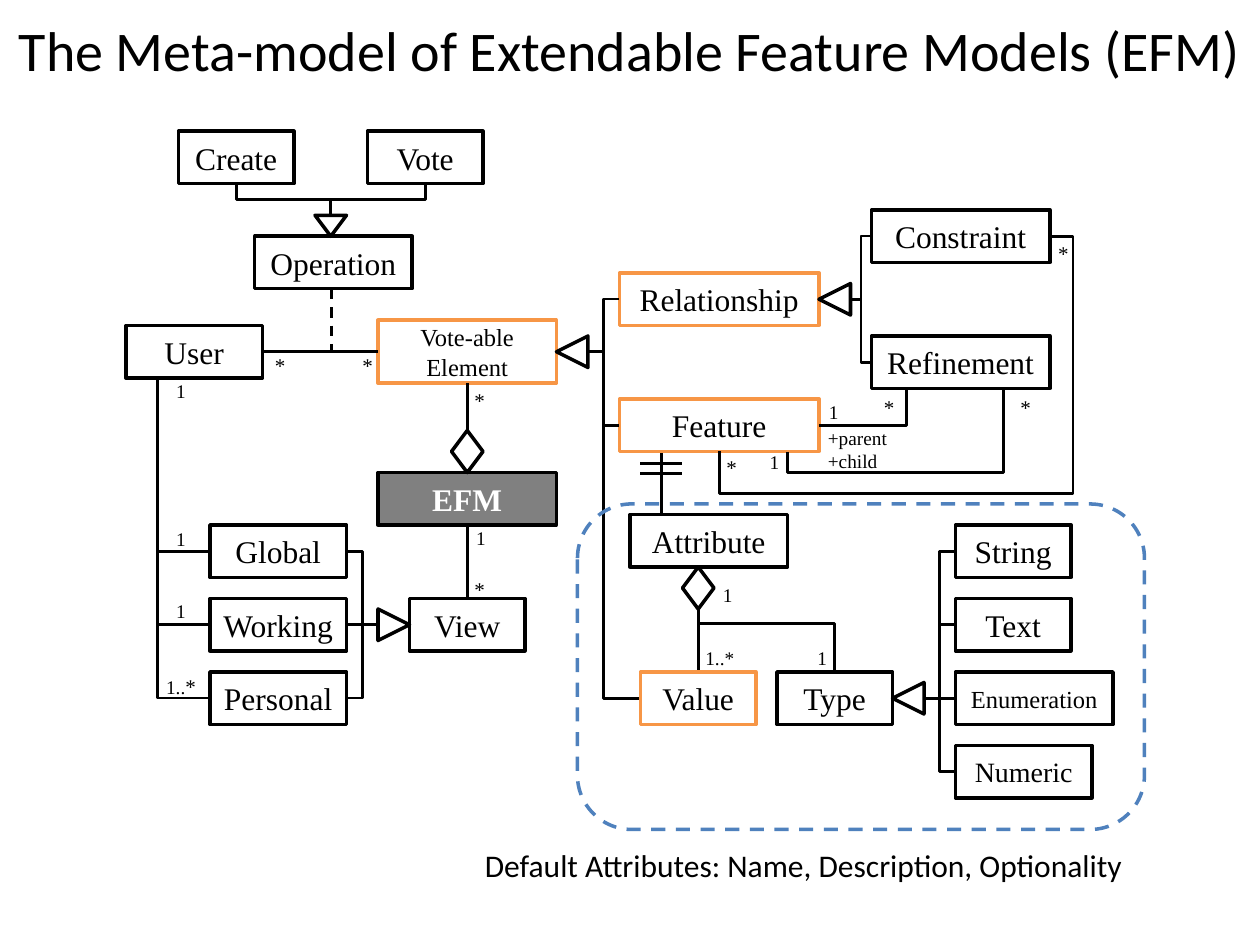
from dataclasses import dataclass
from lxml.etree import SubElement
from pptx import Presentation
from pptx.dml.color import RGBColor
from pptx.enum.dml import MSO_LINE_DASH_STYLE as DASH
from pptx.enum.shapes import MSO_CONNECTOR as CONN, MSO_SHAPE as SHAPE
from pptx.enum.text import MSO_ANCHOR as ANCHOR, MSO_AUTO_SIZE as FIT, PP_ALIGN as ALIGN
from pptx.oxml.ns import qn
from pptx.util import Pt


@dataclass(frozen=True)
class Theme:
    """Colours, fonts and sizes of the diagram."""
    ink: str = "000000"
    paper: str = "FFFFFF"
    accent: str = "F79646"
    dark: str = "808080"
    frame: str = "4F81BD"
    sans: str = "Calibri"
    serif: str = "Times New Roman"
    title: int = 32
    body: int = 18
    medium: int = 16
    small: int = 14
    star: int = 12
    mark: int = 11
    border: float = 2
    link: float = 1.5


T = Theme()


def add_text(p, text, size=T.body, font=T.serif, color=T.ink, bold=False):
    """Append a formatted run to a paragraph."""
    r = p.add_run()
    r.text = text
    r.font.size, r.font.name, r.font.bold = Pt(size), font, bold
    r.font.color.rgb = RGBColor.from_string(color)


@dataclass
class Region:
    """Drawing helpers measured in points from the region's corner."""
    shapes: object
    x: float
    y: float

    def shape(self, kind, x, y, w, h, line=T.ink, fill=T.paper, rot=0):
        """Add an outlined preset shape."""
        sp = self.shapes.add_shape(kind, Pt(self.x + x), Pt(self.y + y), Pt(w), Pt(h))
        sp.shadow.inherit = False
        sp.rotation = rot
        if fill:
            sp.fill.solid()
            sp.fill.fore_color.rgb = RGBColor.from_string(fill)
        else:
            sp.fill.background()
        sp.line.color.rgb = RGBColor.from_string(line)
        sp.line.width = Pt(T.border)
        return sp

    def node(self, text, x, y, w, h=30, line=T.ink, fill=T.paper, **fmt):
        """Add a labelled class box."""
        tf = self.shape(SHAPE.RECTANGLE, x, y, w, h, line, fill).text_frame
        tf.word_wrap, tf.vertical_anchor = True, ANCHOR.MIDDLE
        p = tf.paragraphs[0]
        p.alignment = ALIGN.CENTER
        add_text(p, text, **fmt)

    def triangle(self, x, y, rot, h=18):
        """Add a generalisation head."""
        self.shape(SHAPE.ISOSCELES_TRIANGLE, x, y, 18, h, rot=rot)

    def diamond(self, x, y):
        """Add an aggregation head."""
        self.shape(SHAPE.DIAMOND, x, y, 18, 24)

    def label(self, x, y, w, h, *parts):
        """Add an unwrapped text box from (text, format) pairs."""
        sp = self.shapes.add_textbox(Pt(self.x + x), Pt(self.y + y), Pt(w), Pt(h))
        tf = sp.text_frame
        tf.word_wrap, tf.auto_size = False, FIT.SHAPE_TO_FIT_TEXT
        for text, fmt in parts:
            add_text(tf.paragraphs[0], text, **fmt)

    def mark(self, text, x, y, w=20.5, star=""):
        """Add a multiplicity or role name."""
        size = T.star if text == "*" else T.mark
        parts = [(text, {"size": size})]
        if star:
            parts.append((star, {"size": T.star}))
        self.label(x, y, w, 21, *parts)

    def link(self, x1, y1, x2, y2, kind=CONN.STRAIGHT, dash=None):
        """Add a connector."""
        c = self.shapes.add_connector(
            kind, Pt(self.x + x1), Pt(self.y + y1), Pt(self.x + x2), Pt(self.y + y2))
        c.line.color.rgb = RGBColor.from_string(T.ink)
        c.line.width = Pt(T.link)
        if dash:
            c.line.dash_style = dash
        SubElement(c.element.spPr, qn("a:effectLst"))
        return c

    def elbow(self, x1, y1, x2, y2, bend=0.5):
        """Run across, along and across, turning at the bend share."""
        c = self.link(x1, y1, x2, y2, CONN.ELBOW)
        geom = c.element.spPr.find(qn("a:prstGeom"))
        guides = geom.find(qn("a:avLst"))
        if guides is None:
            guides = SubElement(geom, qn("a:avLst"))
        SubElement(guides, qn("a:gd"), name="adj1", fmla=f"val {round(bend * 100000)}")
        return c

    def drop(self, x1, y1, x2, y2, bend=0.5):
        """Run down, across and down, as an elbow turned by a quarter."""
        cx, cy = (x1 + x2) / 2, (y1 + y2) / 2
        half_w, half_h = (y2 - y1) / 2, abs(x2 - x1) / 2
        side = 1 if x2 > x1 else -1
        c = self.elbow(cx + side * half_w, cy - half_h, cx - side * half_w, cy + half_h, bend)
        turn = 270 if side > 0 else 90
        c.element.spPr.find(qn("a:xfrm")).set("rot", str(turn * 60000))

    def corner(self, x1, y1, x2, y2):
        """Run across, then up or down."""
        c = self.link(x1, y1, x2, y2, CONN.ELBOW)
        c.element.spPr.find(qn("a:prstGeom")).set("prst", "bentConnector2")


def add_title(s, text, x, y, w, h):
    """Fill and place the title."""
    sp = s.shapes.title
    sp.left, sp.top, sp.width, sp.height = Pt(x), Pt(y), Pt(w), Pt(h)
    tf = sp.text_frame
    tf.vertical_anchor = ANCHOR.MIDDLE
    tf.paragraphs[0].alignment = ALIGN.CENTER
    add_text(tf.paragraphs[0], text, T.title, T.sans)


def add_features(g):
    """Draw features, their relationships and the generalisation trunk."""
    g.node("Relationship", 0, 36, 114, line=T.accent)
    g.node("Feature", 0, 108, 114, line=T.accent)
    g.triangle(114, 42, 270)
    for text, y in (("Constraint", 0), ("Refinement", 72)):
        g.node(text, 144, y, 102)
        g.elbow(132, 51, 144, y + 15)
    for x, y, bend in ((0, 51, 0.5), (0, 123, 0.5), (12, 279, 0.3)):
        g.elbow(-18, 81, x, y, bend)
    g.elbow(114, 123, 180, 102, 0.76)
    g.elbow(114, 150, 234, 102, 0.88)
    g.corner(114, 150, 96, 138)
    g.elbow(246, 15, 114, 162, -0.1)
    g.corner(114, 162, 57, 138)
    for y in (145, 150.7):
        g.link(12, y, 36, y)
    g.link(24, 139, 24, 174)
    for text, x, y in (("1", 78.7, 134), ("*", 243.6, 14), ("1", 112.6, 105.4),
                       ("*", 54, 136), ("*", 144, 102), ("*", 222, 102)):
        g.mark(text, x, y)
    g.mark("+parent", 112, 120, 50)
    g.mark("+child", 112, 133.4, 43)


def add_core(g):
    """Draw the vote-able element above the model."""
    g.node("Vote-able Element", 0, 0, 102, 36, line=T.accent, size=T.small)
    g.triangle(102, 9, 270)
    g.node("EFM", 0, 87, 102, fill=T.dark, color=T.paper, bold=True)
    g.diamond(42, 63)
    g.link(51, 63, 51, 36)
    g.link(51, 117, 51, 159)
    for text, x, y in (("*", 48, 35), ("1", 49, 114.4), ("*", 48, 143)):
        g.mark(text, x, y)


def add_users(g):
    """Draw the user and the kinds of view."""
    g.node("User", 0, 0, 78)
    g.link(78, 15, 144, 15)
    g.node("View", 162, 156, 66)
    g.triangle(144, 162, 90)
    for i, text in enumerate(("Global", "Working", "Personal")):
        y = 114 + 42 * i
        g.node(text, 48, y, 78)
        g.corner(48, y + 15, 18, 30)
        join = g.link if y == 156 else g.elbow
        join(126, y + 15, 144, 171)
    for text, x, y in (("1", 21.6, 27), ("1", 21.6, 111.5), ("1", 21.6, 153),
                       ("*", 78, 12), ("*", 128, 12)):
        g.mark(text, x, y)
    g.mark("1..", 15.8, 195.6, 32, star="*")


def add_operations(g):
    """Draw the operation and its two kinds."""
    g.node("Operation", 43.5, 60, 90)
    g.link(87.5, 90, 87.5, 126.5, dash=DASH.DASH)
    g.triangle(78, 48, 180, h=12)
    for text, x in (("Create", 0), ("Vote", 108)):
        g.node(text, x, 0, 66)
        g.drop(x + 33, 30, 87, 48)


def add_attributes(g, w, h):
    """Draw the framed attribute model."""
    g.node("Attribute", 30, 6, 90)
    g.diamond(60, 36)
    g.link(69, 96, 69, 60)
    g.node("Value", 36, 96, 66, line=T.accent)
    g.node("Type", 114, 96, 66)
    g.drop(69, 60, 147, 96, 0.23)
    g.triangle(180, 102, 270)
    kinds = (("String", 66, T.body), ("Text", 66, T.body),
             ("Enumeration", 90, T.small), ("Numeric", 78, T.medium))
    for i, (text, width, size) in enumerate(kinds):
        y = 12 + 42 * i
        g.node(text, 216, y, width, size=size)
        join = g.link if y == 96 else g.elbow
        join(216, y + 15, 198, 111)
    g.mark("1..*", 66, 78, 31)
    g.mark("1", 76, 42)
    g.mark("1", 130, 78)
    frame = g.shape(SHAPE.ROUNDED_RECTANGLE, 0, 0, w, h, T.frame, None)
    frame.line.dash_style = DASH.DASH


def main():
    """Build and save the slide."""
    prs = Presentation()
    prs.slide_width, prs.slide_height = Pt(720), Pt(540)
    s = prs.slides.add_slide(prs.slide_layouts[5])
    add_title(s, "The Meta-model of Extendable Feature Models (EFM)", 0, 0, 720, 56)
    add_features(Region(s.shapes, 354, 120))
    add_core(Region(s.shapes, 216, 183))
    add_users(Region(s.shapes, 72, 186))
    add_operations(Region(s.shapes, 102, 75))
    add_attributes(Region(s.shapes, 330, 288), 324, 186)
    caption = "Default Attributes: Name, Description, Optionality"
    Region(s.shapes, 270, 480).label(0, 0, 387, 29, (caption, {"font": T.sans}))
    prs.save("out.pptx")


if __name__ == "__main__":
    main()
